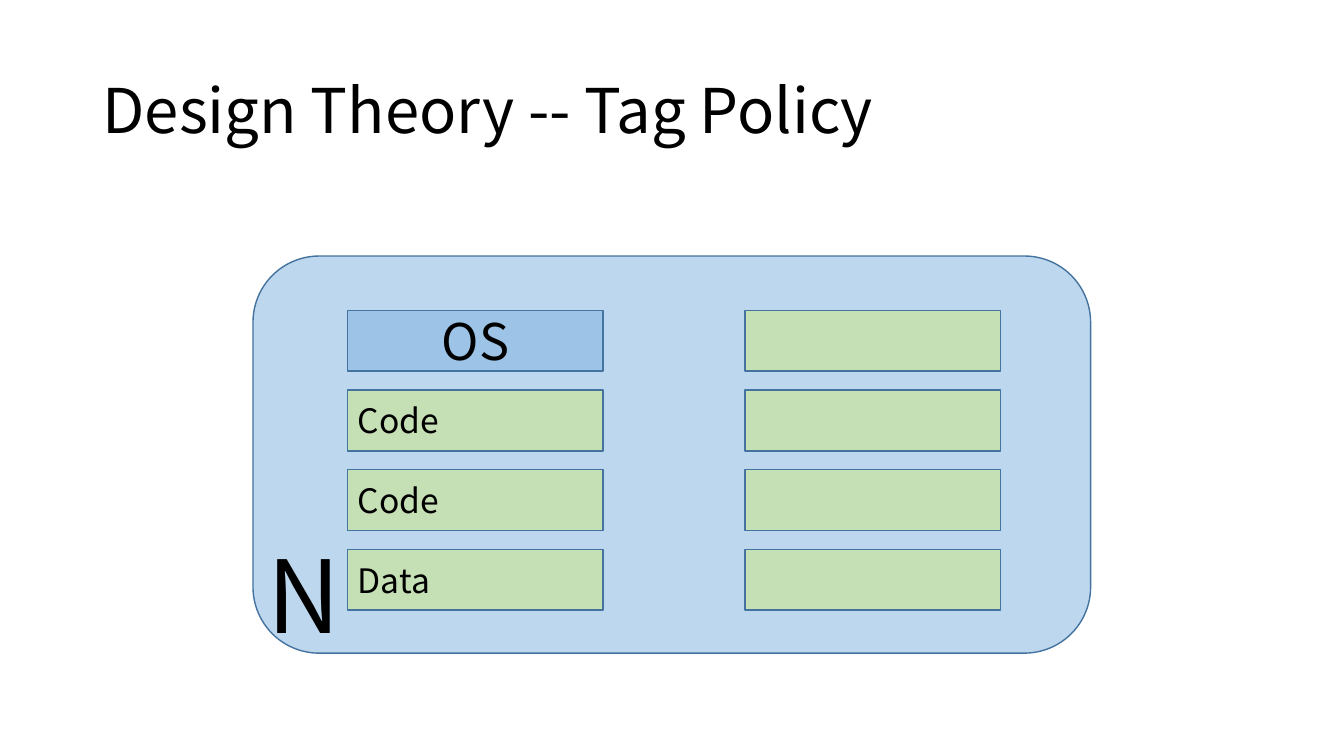
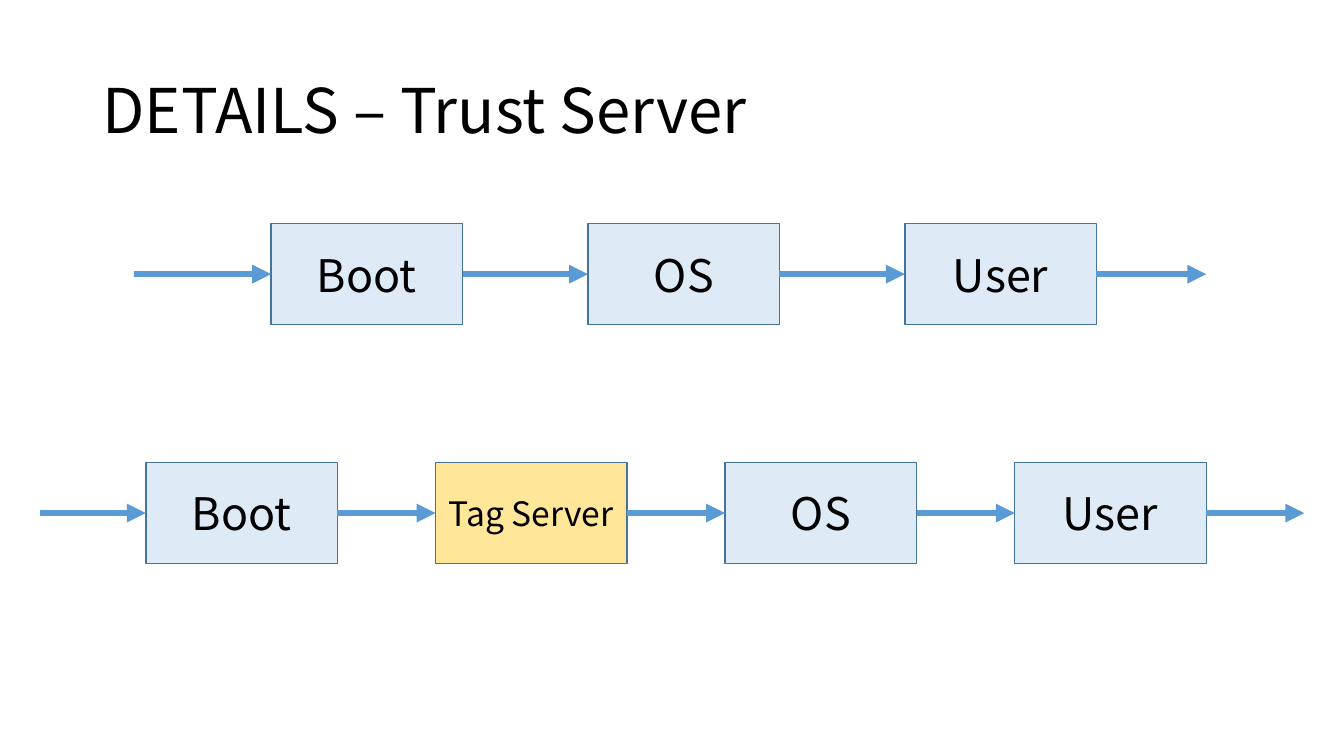
from dataclasses import dataclass
from itertools import pairwise

from lxml.etree import SubElement
from pptx import Presentation
from pptx.dml.color import RGBColor
from pptx.enum.shapes import MSO_CONNECTOR as Line, MSO_SHAPE as Shape
from pptx.enum.text import MSO_ANCHOR as Anchor, MSO_AUTO_SIZE as AutoSize, PP_ALIGN as Align
from pptx.oxml.ns import qn
from pptx.util import Inches, Pt


@dataclass(frozen=True)
class Theme:
    font: str = "Noto Sans CJK SC"
    ink: str = "000000"
    outline: str = "43739E"
    arrow: str = "5B9BD5"
    panel: str = "BDD7EE"
    system: str = "9DC3E6"
    page: str = "C5E0B4"
    stage: str = "DEEBF7"
    tag: str = "FFE699"
    title_size: int = 44
    mark_size: int = 72
    system_size: int = 36
    stage_size: int = 32
    label_size: int = 24
    thin: float = 1
    thick: float = 4.5


LEFT, RIGHT = 1, 3
COLS, ROWS = 40, 22.5


class Deck:
    def __init__(self, theme):
        self.theme = theme
        self.prs = Presentation()
        self.prs.slide_width = Inches(13.33)
        self.prs.slide_height = Inches(7.5)
        self.s = None

    def x(self, cols):
        return round(self.prs.slide_width * cols / COLS)

    def y(self, rows):
        return round(self.prs.slide_height * rows / ROWS)

    def frame(self, left, top, width, height):
        return self.x(left), self.y(top), self.x(width), self.y(height)

    def label(self, sp, text, size, align=Align.LEFT, anchor=Anchor.MIDDLE, spacing=1):
        tf = sp.text_frame
        for name, value in dict(word_wrap=True, auto_size=AutoSize.NONE,
                                vertical_anchor=anchor).items():
            setattr(tf, name, value)
        p = tf.paragraphs[0]
        p.alignment, p.line_spacing = align, spacing
        r = p.add_run()
        r.text = text
        for name, value in dict(name=self.theme.font, size=Pt(size)).items():
            setattr(r.font, name, value)
        r.font.color.rgb = RGBColor.from_string(self.theme.ink)

    def slide(self, title):
        self.s = self.prs.slides.add_slide(self.prs.slide_layouts[5])
        sp = self.s.shapes.title
        sp.left, sp.top, sp.width, sp.height = self.frame(2.75, 1.2, 34.5, 4.35)
        self.label(sp, title, self.theme.title_size, spacing=0.9)

    def text(self, text, box, size):
        sp = self.s.shapes.add_textbox(*self.frame(*box))
        self.label(sp, text, size, anchor=Anchor.TOP)

    def box(self, box, fill, text="", size=None, align=Align.CENTER, kind=Shape.RECTANGLE):
        sp = self.s.shapes.add_shape(kind, *self.frame(*box))
        sp.shadow.inherit = False
        sp.fill.solid()
        sp.fill.fore_color.rgb = RGBColor.from_string(fill)
        sp.line.color.rgb = RGBColor.from_string(self.theme.outline)
        sp.line.width = Pt(self.theme.thin)
        if text:
            self.label(sp, text, size, align)
        return sp

    def arrow(self, row, start=0, end=0, source=None, target=None):
        y = self.y(row)
        line = self.s.shapes.add_connector(Line.STRAIGHT, self.x(start), y, self.x(end), y)
        if source is not None:
            line.begin_connect(source, RIGHT)
        if target is not None:
            line.end_connect(target, LEFT)
        line.line.color.rgb = RGBColor.from_string(self.theme.arrow)
        line.line.width = Pt(self.theme.thick)
        props = line.element.spPr
        SubElement(props.find(qn("a:ln")), qn("a:tailEnd"), type="triangle")
        SubElement(props, qn("a:effectLst"))

    def chain(self, stages, start, end, left, top, pitch):
        width, height = 5.7, 3
        middle = top + height / 2
        boxes = [self.box((left + i * pitch, top, width, height), fill, text, size)
                 for i, (text, fill, size) in enumerate(stages)]
        self.arrow(middle, start=start, target=boxes[0])
        for source, target in pairwise(boxes):
            self.arrow(middle, source=source, target=target)
        self.arrow(middle, end=end, source=boxes[-1])


def tag_policy(deck):
    t = deck.theme
    deck.slide("Design Theory -- Tag Policy")
    deck.box((7.53, 7.62, 24.93, 11.82), t.panel, kind=Shape.ROUNDED_RECTANGLE)
    deck.text("N", (7.68, 15.72, 3.3, 3.93), t.mark_size)
    page = (t.page, t.label_size, Align.LEFT)
    memory = [("OS", t.system, t.system_size, Align.CENTER),
              ("Code", *page), ("Code", *page), ("Data", *page)]
    for i, (text, fill, size, align) in enumerate(memory):
        top = 9.24 + i * 2.37
        deck.box((10.35, top, 7.6, 1.81), fill, text, size, align)
        deck.box((22.17, top, 7.6, 1.81), t.page)


def trust_server(deck):
    t = deck.theme
    deck.slide("DETAILS – Trust Server")
    boot, system, user = [(text, t.stage, t.stage_size) for text in ("Boot", "OS", "User")]
    tag = ("Tag Server", t.tag, t.label_size)
    deck.chain([boot, system, user], 4, 35.9, left=8.07, top=6.66, pitch=9.43)
    deck.chain([boot, tag, system, user], 1.18, 38.82, left=4.34, top=13.77, pitch=8.62)


def main():
    deck = Deck(Theme())
    tag_policy(deck)
    trust_server(deck)
    deck.prs.save("out.pptx")


if __name__ == "__main__":
    main()
